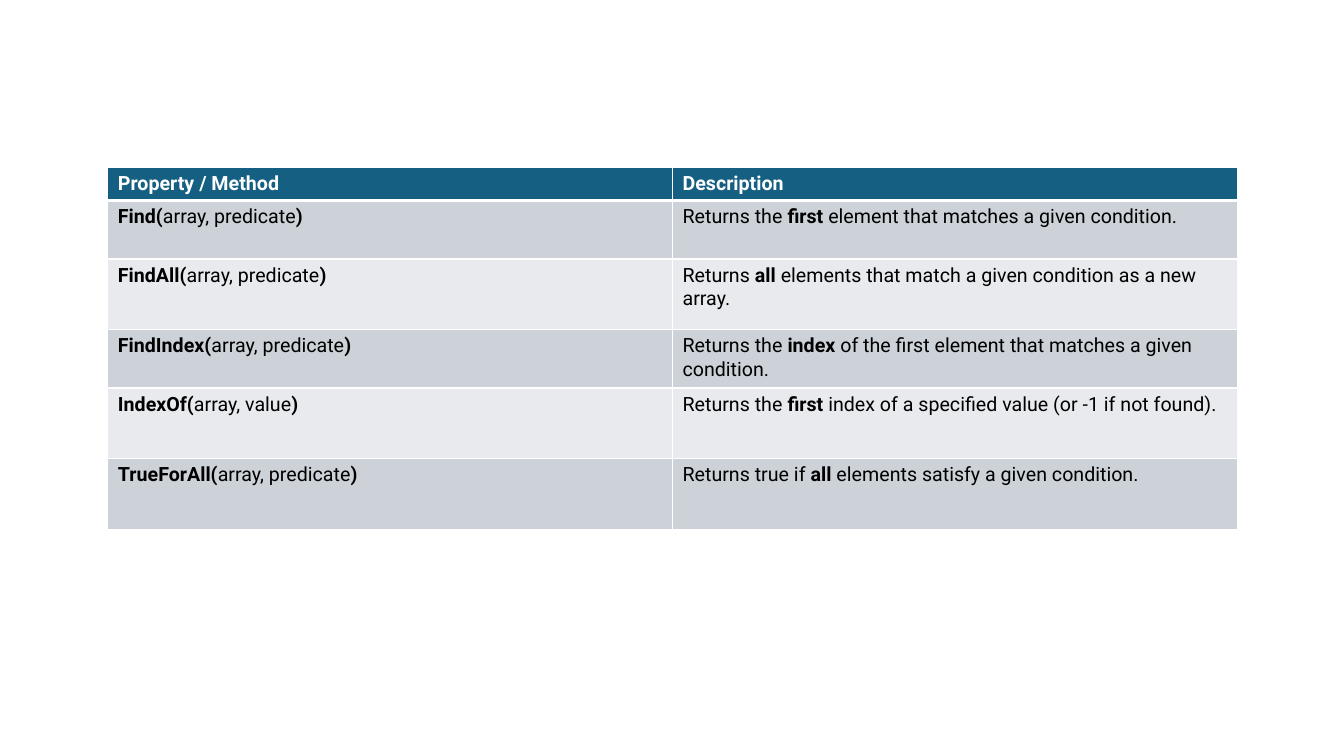
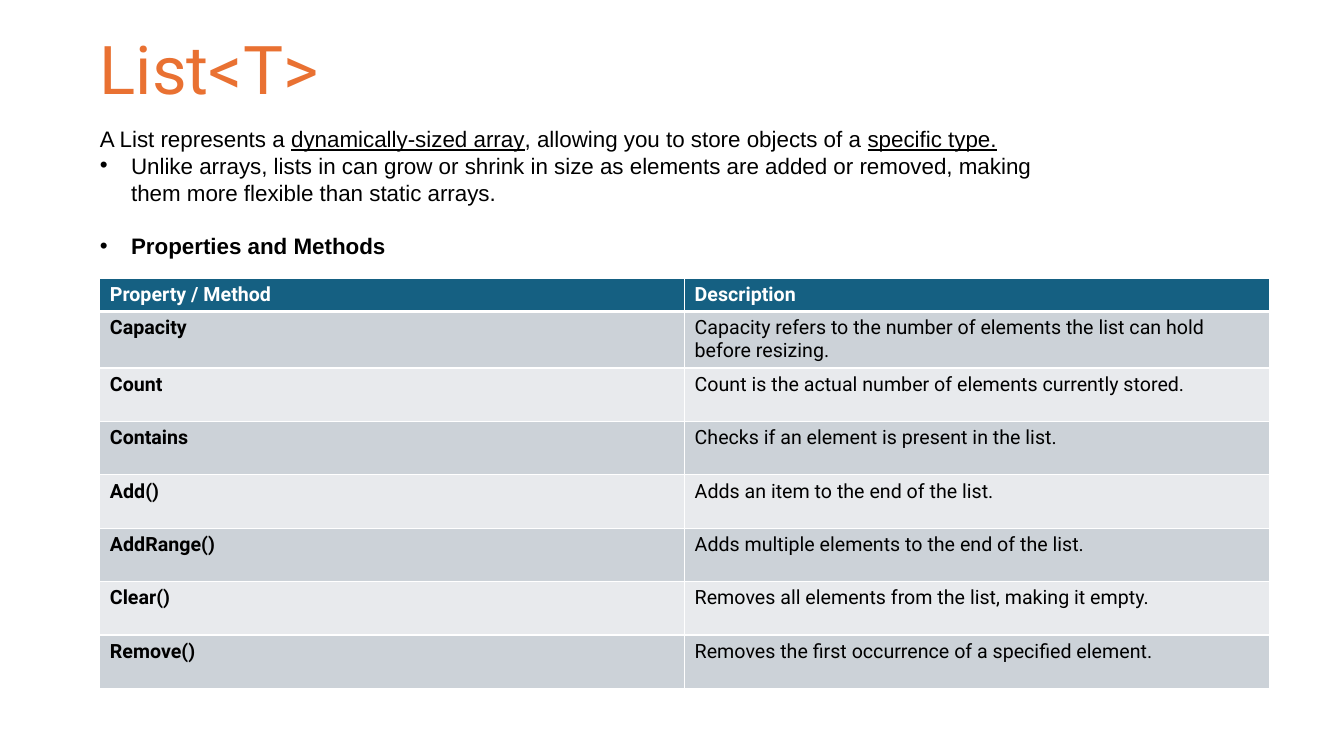
from dataclasses import dataclass

from lxml.etree import SubElement
from pptx import Presentation
from pptx.dml.color import RGBColor as RGB
from pptx.enum.text import MSO_ANCHOR as Anchor, MSO_AUTO_SIZE as AutoSize, PP_ALIGN as Align
from pptx.oxml.ns import qn
from pptx.util import Pt

PX = 9144  # 100 px to the inch


@dataclass(frozen=True)
class Theme:
    header: RGB = RGB.from_string("156082")
    bands: tuple = (RGB.from_string("CCD2D8"), RGB.from_string("E8EAED"))
    title: RGB = RGB.from_string("E97132")
    text: RGB = RGB.from_string("000000")
    light: RGB = RGB.from_string("FFFFFF")
    heading_font: str = "Roboto"
    body_font: str = "Arial"
    title_size: Pt = Pt(48)
    body_size: Pt = Pt(16)
    table_size: Pt = Pt(14)
    thin: Pt = Pt(1)
    thick: Pt = Pt(3)


THEME = Theme()


def write_marked(paragraph, marked, emphasis, font_name, size, color):
    """Write text whose parts between asterisks get the emphasis, "bold" or "underline"."""
    font = paragraph.font
    font.name, font.size = font_name, size
    font.color.rgb = color
    for index, part in enumerate(marked.split("*")):
        if part:
            run = paragraph.add_run()
            run.text = part
            setattr(run.font, emphasis, index % 2 == 1)


def add_member_table(slide, left, top, column_width, row_heights, members):
    rows = [("*Property / Method*", "*Description*"), *members]
    frame = slide.shapes.add_table(len(rows), 2, left * PX, top * PX,
                                   2 * column_width * PX, sum(row_heights) * PX)
    table = frame.table
    table.horz_banding = False
    for column in table.columns:
        column.width = column_width * PX
    for r, (texts, height) in enumerate(zip(rows, row_heights)):
        table.rows[r].height = height * PX
        for c, marked in enumerate(texts):
            cell = table.cell(r, c)
            properties = cell._tc.get_or_add_tcPr()
            for side in "LRTB":
                under_header = (r, side) in ((0, "B"), (1, "T"))
                width = THEME.thick if under_header else THEME.thin
                border = SubElement(properties, qn(f"a:ln{side}"), w=str(width))
                fill = SubElement(border, qn("a:solidFill"))
                SubElement(fill, qn("a:srgbClr"), val=str(THEME.light))
            cell.fill.solid()
            cell.fill.fore_color.rgb = THEME.bands[(r - 1) % 2] if r else THEME.header
            write_marked(cell.text_frame.paragraphs[0], marked, "bold", THEME.heading_font,
                         THEME.table_size, THEME.text if r else THEME.light)


deck = Presentation()
deck.slide_width, deck.slide_height = 1333 * PX, 750 * PX
content_layout, blank_layout = deck.slide_layouts[1], deck.slide_layouts[6]

# Array methods
array_slide = deck.slides.add_slide(blank_layout)
add_member_table(array_slide, 107, 166, 560, (33, 58, 70, 58, 70, 70), [
    ("*Find(*array, predicate*)*",
     "Returns the *first* element that matches a given condition."),
    ("*FindAll(*array, predicate*)*",
     "Returns *all* elements that match a given condition as a new array."),
    ("*FindIndex(*array, predicate*)*",
     "Returns the *index* of the first element that matches a given condition."),
    ("*IndexOf(*array, value*)*",
     "Returns the *first* index of a specified value (or -1 if not found)."),
    ("*TrueForAll(*array, predicate*)*",
     "Returns true if *all* elements satisfy a given condition."),
])

# List<T>
list_slide = deck.slides.add_slide(content_layout)
title, intro = list_slide.placeholders
for holder, top, width, height in ((title, 22, 577, 91), (intro, 119, 989, 150)):
    holder.left, holder.top = 89 * PX, top * PX
    holder.width, holder.height = width * PX, height * PX
    holder.text_frame.auto_size = AutoSize.NONE
    holder.text_frame.vertical_anchor = Anchor.TOP

heading = title.text_frame.paragraphs[0]
heading.alignment = Align.LEFT
write_marked(heading, "List<T>", "bold", THEME.heading_font, THEME.title_size, THEME.title)

intro_lines = [
    ("A List represents a *dynamically-sized array*, allowing you to store objects of a "
     "*specific type.*", "underline", 0, 0),
    ("Unlike arrays, lists in can grow or shrink in size as elements are added or removed, "
     "making them more flexible than static arrays.", "bold", 31, 0),
    ("*Properties and Methods*", "bold", 31, 19),
]
for index, (marked, emphasis, indent, gap) in enumerate(intro_lines):
    frame = intro.text_frame
    paragraph = frame.add_paragraph() if index else frame.paragraphs[0]
    paragraph.space_before = Pt(gap)
    layout = paragraph._p.get_or_add_pPr()
    layout.set("marL", str(indent * PX))
    layout.set("indent", str(-indent * PX))
    if not indent:
        SubElement(layout, qn("a:buNone"))
    write_marked(paragraph, marked, emphasis, THEME.body_font, THEME.body_size, THEME.text)

add_member_table(list_slide, 99, 276, 580, (33, 56, *[53] * 6), [
    ("*Capacity*",
     "Capacity refers to the number of elements the list can hold before resizing."),
    ("*Count*", "Count is the actual number of elements currently stored."),
    ("*Contains*", "Checks if an element is present in the list."),
    ("*Add()*", "Adds an item to the end of the list."),
    ("*AddRange()*", "Adds multiple elements to the end of the list."),
    ("*Clear()*", "Removes all elements from the list, making it empty."),
    ("*Remove()*", "Removes the first occurrence of a specified element."),
])

deck.save("out.pptx")
